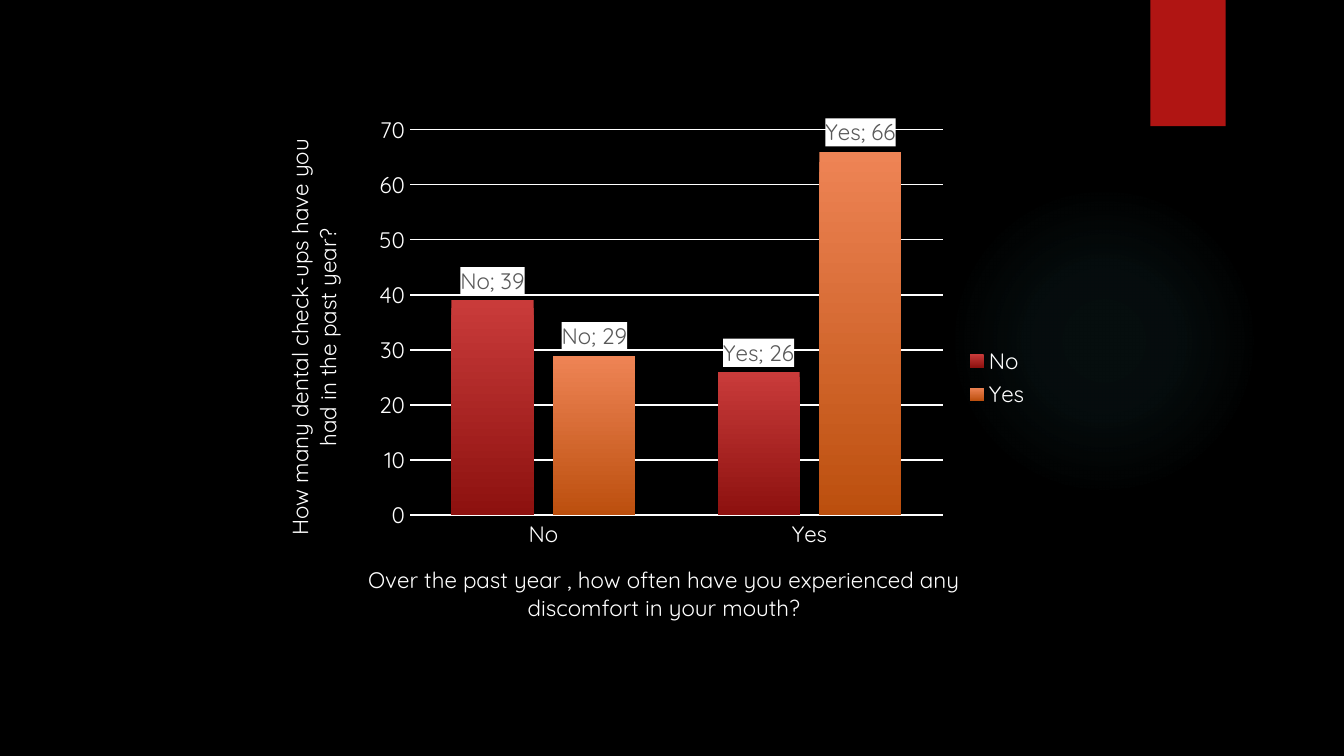
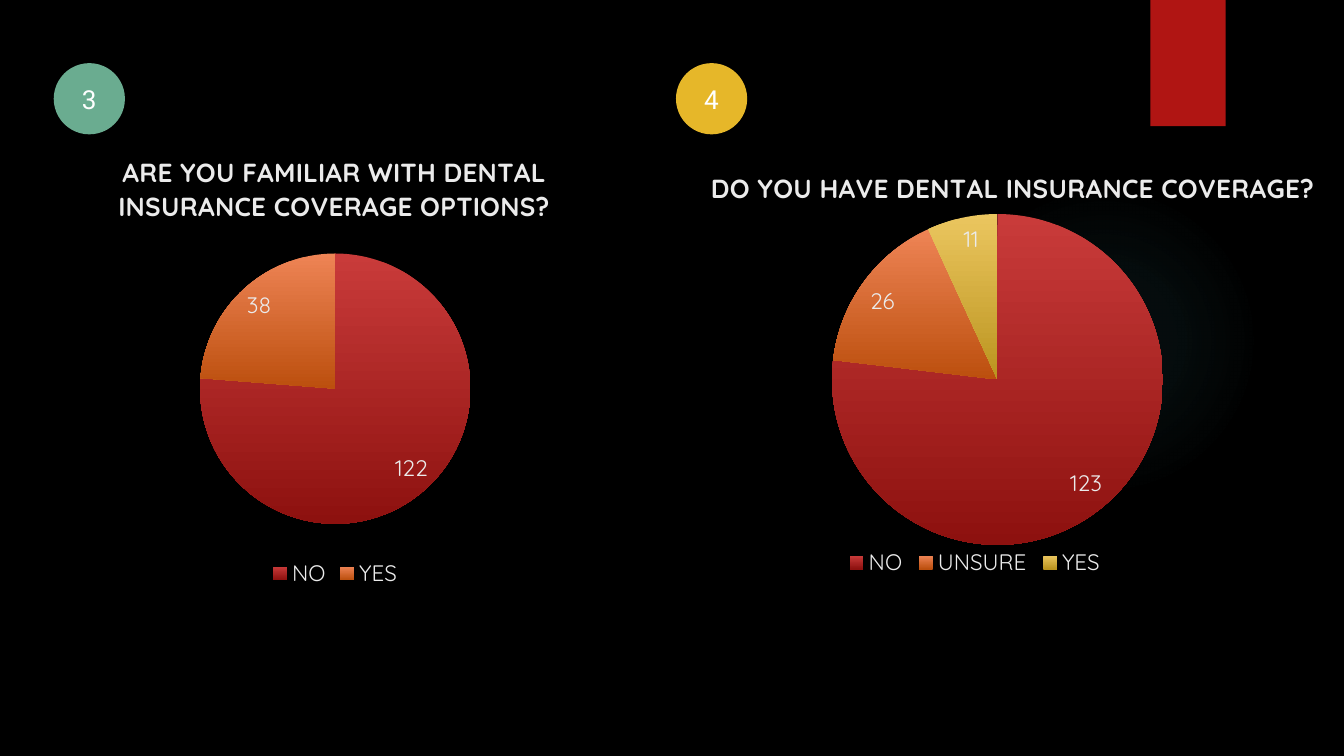
from lxml import etree
from pptx import Presentation
from pptx.chart.data import CategoryChartData
from pptx.dml.color import RGBColor
from pptx.enum.chart import (XL_CHART_TYPE, XL_LABEL_POSITION,
                             XL_LEGEND_POSITION, XL_TICK_MARK)
from pptx.enum.shapes import MSO_SHAPE
from pptx.enum.text import MSO_ANCHOR, PP_ALIGN
from pptx.oxml import parse_xml
from pptx.oxml.ns import nsdecls, qn
from pptx.util import Inches, Pt

COLUMN_CHART, PIE_CHART = XL_CHART_TYPE.COLUMN_CLUSTERED, XL_CHART_TYPE.PIE
OUTSIDE_END = XL_LABEL_POSITION.OUTSIDE_END
INSIDE_END = XL_LABEL_POSITION.INSIDE_END
BEST_FIT = XL_LABEL_POSITION.BEST_FIT
LEGEND_RIGHT, LEGEND_BOTTOM = XL_LEGEND_POSITION.RIGHT, XL_LEGEND_POSITION.BOTTOM
NO_TICKS = XL_TICK_MARK.NONE
OVAL, RECTANGLE = MSO_SHAPE.OVAL, MSO_SHAPE.RECTANGLE
CENTER, MIDDLE = PP_ALIGN.CENTER, MSO_ANCHOR.MIDDLE

BLACK = RGBColor(0x00, 0x00, 0x00)
WHITE = RGBColor(0xFF, 0xFF, 0xFF)
PALE = RGBColor(0xEB, 0xEB, 0xEB)
GRAY = RGBColor(0x59, 0x59, 0x59)
RED = RGBColor(0xB0, 0x15, 0x13)
GREEN = RGBColor(0x6A, 0xAC, 0x90)
YELLOW = RGBColor(0xE6, 0xB7, 0x29)
GLOW = RGBColor(0x50, 0xB9, 0xC1)
GRADIENTS = [
    (RGBColor(0xC9, 0x3B, 0x3A), RGBColor(0x8D, 0x11, 0x0F)),
    (RGBColor(0xEE, 0x84, 0x55), RGBColor(0xBC, 0x4F, 0x0E)),
    (RGBColor(0xEB, 0xC6, 0x5F), RGBColor(0xBB, 0x94, 0x1F)),
]
GLOW_STOPS = [(0, 7), (36, 6), (69, 0)]  # position and opacity in percent

CHART_FONT, BADGE_FONT = "Quicksand", "Roboto"
SLIDE_WIDTH = Inches(10)
SLIDE_HEIGHT = SLIDE_WIDTH * 9 // 16
GRID_COLUMNS = 100
GRID_UNIT = SLIDE_WIDTH / GRID_COLUMNS  # rows are as high as columns are wide


def set_font(font, size, color, bold=False, name=CHART_FONT):
    font.name, font.size, font.bold = name, Pt(size), bold
    font.color.rgb = color


def shade(fill, colors):
    """Fill with a gradient running from top to bottom."""
    fill.gradient()
    fill.gradient_angle = 270
    for stop, color in zip(fill.gradient_stops, colors):
        stop.color.rgb = color


def set_layout(parent, index, inner=False, **shares):
    """Pin a chart part at shares (x, y, w, h) of the chart's size."""
    for automatic in parent.findall(qn("c:layout")):
        parent.remove(automatic)
    layout = etree.Element(qn("c:layout"))
    manual = etree.SubElement(layout, qn("c:manualLayout"))
    if inner:
        etree.SubElement(manual, qn("c:layoutTarget")).set("val", "inner")
    for side in "xy":
        etree.SubElement(manual, qn(f"c:{side}Mode")).set("val", "edge")
    for side, share in shares.items():
        etree.SubElement(manual, qn(f"c:{side}")).set("val", str(share))
    parent.insert(index, layout)


def set_title(title, text, size, color, x, y, bold=False):
    title.text_frame.text = text
    set_font(title.text_frame.paragraphs[0].runs[0].font, size, color, bold)
    set_layout(title._element, 1, x=x, y=y)


def style_labels(labels, position, color):
    labels.show_value = True
    labels.position = position
    set_font(labels.font, 12, color)


def name_category_on_white(labels):
    labels.show_category_name = True
    element = labels._element
    element.find(qn("c:txPr")).addprevious(parse_xml(
        f'<c:spPr {nsdecls("c", "a")}><a:solidFill><a:srgbClr val="{WHITE}"/>'
        '</a:solidFill></c:spPr>'))
    separator = etree.Element(qn("c:separator"))
    separator.text = "; "
    element.find(qn("c:showBubbleSize")).addnext(separator)


class Deck:
    """Holds the shared style and the slide being built."""

    def __init__(self):
        self.presentation = Presentation()
        self.presentation.slide_width = SLIDE_WIDTH
        self.presentation.slide_height = SLIDE_HEIGHT
        self.slide = None

    def add_slide(self):
        self.slide = self.presentation.slides.add_slide(
            self.presentation.slide_layouts[6])
        background = self.slide.background.fill
        background.solid()
        background.fore_color.rgb = BLACK
        self.add_glow(70.6, 13.8, 23.1)
        self.add_shape(RECTANGLE, (85.6, 0, 5.6, 9.4), RED)

    def place(self, box):
        return [round(length * GRID_UNIT) for length in box]

    def add_shape(self, kind, box, color):
        shape = self.slide.shapes.add_shape(kind, *self.place(box))
        shape.shadow.inherit = False
        shape.fill.solid()
        shape.fill.fore_color.rgb = color
        shape.line.fill.background()
        return shape

    def add_glow(self, left, top, size):
        glow = self.add_shape(OVAL, (left, top, size, size), GLOW)
        stops = "".join(
            f'<a:gs pos="{position * 1000}"><a:srgbClr val="{GLOW}">'
            f'<a:alpha val="{opacity * 1000}"/></a:srgbClr></a:gs>'
            for position, opacity in GLOW_STOPS)
        properties = glow._element.spPr
        properties.replace(properties.find(qn("a:solidFill")), parse_xml(
            f'<a:gradFill {nsdecls("a")}><a:gsLst>{stops}</a:gsLst>'
            '<a:path path="circle"><a:fillToRect l="50000" t="50000" '
            'r="50000" b="50000"/></a:path></a:gradFill>'))

    def add_badge(self, left, number, color):
        badge = self.add_shape(OVAL, (left, 4.7, 5.3, 5.3), color)
        frame = badge.text_frame
        frame.margin_left = frame.margin_right = 0
        frame.vertical_anchor = MIDDLE
        frame.text = number
        frame.paragraphs[0].alignment = CENTER
        set_font(frame.paragraphs[0].runs[0].font, 14, WHITE, name=BADGE_FONT)

    def add_chart(self, kind, box, categories, series, plot_box,
                  legend_position, legend_color):
        data = CategoryChartData()
        data.categories = categories
        for name, values in series.items():
            data.add_series(name, values)
        chart = self.slide.shapes.add_chart(kind, *self.place(box), data).chart
        set_font(chart.font, 10, WHITE)
        chart.has_title = False
        chart.has_legend = True
        chart.legend.position = legend_position
        chart.legend.include_in_layout = False
        set_font(chart.legend.font, 12, legend_color)
        x, y, w, h = plot_box
        plot_area = chart._chartSpace.chart.plotArea
        set_layout(plot_area, 0, inner=True, x=x, y=y, w=w, h=h)
        return chart

    def add_column_chart(self, box, categories, series, plot_box,
                         category_title, value_title):
        chart = self.add_chart(COLUMN_CHART, box, categories, series,
                               plot_box, LEGEND_RIGHT, WHITE)
        plot = chart.plots[0]
        plot.vary_by_categories = False
        plot.gap_width, plot.overlap = 100, -24
        for bars, colors in zip(plot.series, GRADIENTS):
            shade(bars.format.fill, colors)
            style_labels(bars.data_labels, OUTSIDE_END, GRAY)
            name_category_on_white(bars.data_labels)

        for axis in (chart.category_axis, chart.value_axis):
            axis.major_tick_mark = axis.minor_tick_mark = NO_TICKS
            set_font(axis.tick_labels.font, 12, WHITE)
        chart.category_axis.format.line.color.rgb = WHITE
        chart.category_axis.format.line.width = Pt(1)
        set_title(chart.category_axis.axis_title, category_title, 12, WHITE,
                  x=0.12, y=0.83)

        values = chart.value_axis
        values.minimum_scale, values.maximum_scale = 0, 70
        values.major_unit = 10
        values.format.line.fill.background()
        values.major_gridlines.format.line.color.rgb = WHITE
        values.major_gridlines.format.line.width = Pt(0.75)
        set_title(values.axis_title, value_title, 12, WHITE, x=0.01, y=0.06)
        rotation = values.axis_title.text_frame._txBody.bodyPr
        rotation.set("rot", "-5400000")
        rotation.set("vert", "horz")

    def add_pie_chart(self, box, answers, plot_box, question, question_at,
                      label_position):
        chart = self.add_chart(PIE_CHART, box, list(answers),
                               {"Series 1": list(answers.values())},
                               plot_box, LEGEND_BOTTOM, PALE)
        chart.has_title = True
        x, y = question_at
        set_title(chart.chart_title, question, 14, PALE, x, y, bold=True)
        plot = chart.plots[0]
        plot.vary_by_categories = True
        slices = plot.series[0]
        for index, colors in enumerate(GRADIENTS[:len(answers)]):
            shade(slices.points[index].format.fill, colors)
        style_labels(slices.data_labels, label_position, PALE)
        return chart


def build_checkups_slide(deck):
    deck.add_slide()
    deck.add_column_chart(
        (20.2, 7.6, 57.4, 41), ["No", "Yes"],
        {"No": (39, 26), "Yes": (29, 66)}, (0.18, 0.05, 0.69, 0.7),
        "Over the past year , how often have you experienced any "
        "discomfort in your mouth?",
        "How many dental check-ups have you had in the past year?")


def build_insurance_slide(deck):
    deck.add_slide()
    deck.add_badge(4, "3", GREEN)
    deck.add_pie_chart(
        (0.7, 10, 48.5, 34.1), {"NO": 122, "YES": 38},
        (0.29, 0.26, 0.42, 0.59),
        "ARE YOU FAMILIAR WITH DENTAL INSURANCE COVERAGE OPTIONS?",
        (0.16, 0.03), BEST_FIT)
    deck.add_badge(50.3, "4", YELLOW)
    coverage = deck.add_pie_chart(
        (39.2, 12.2, 66.7, 37.3), {"NO": 123, "UNSURE": 26, "YES": 11},
        (0.12, 0.1, 0.81, 0.66),
        "DO YOU HAVE DENTAL INSURANCE COVERAGE?", (0.2, 0), INSIDE_END)
    set_layout(coverage.legend._element, 1, x=0.35, y=0.76, w=0.3, h=0.07)


def main():
    deck = Deck()
    build_checkups_slide(deck)
    build_insurance_slide(deck)
    deck.presentation.save("out.pptx")


if __name__ == "__main__":
    main()
